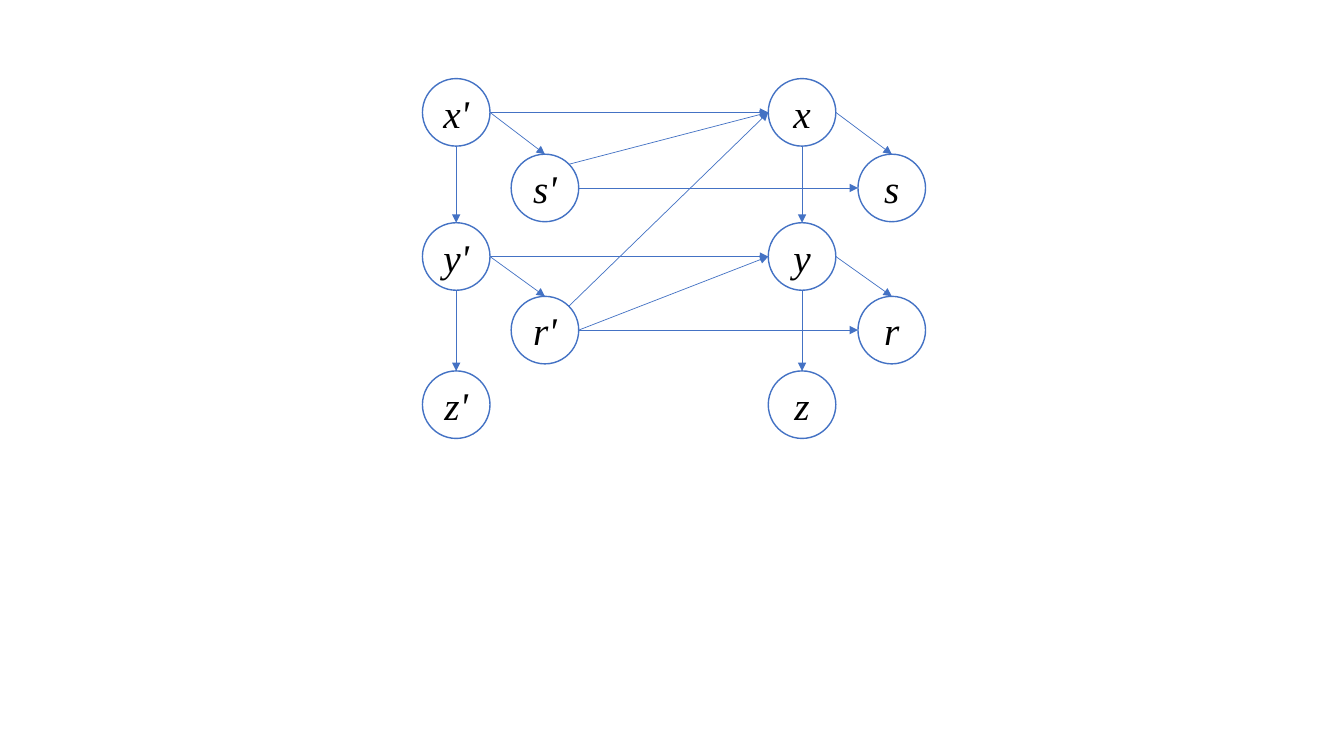
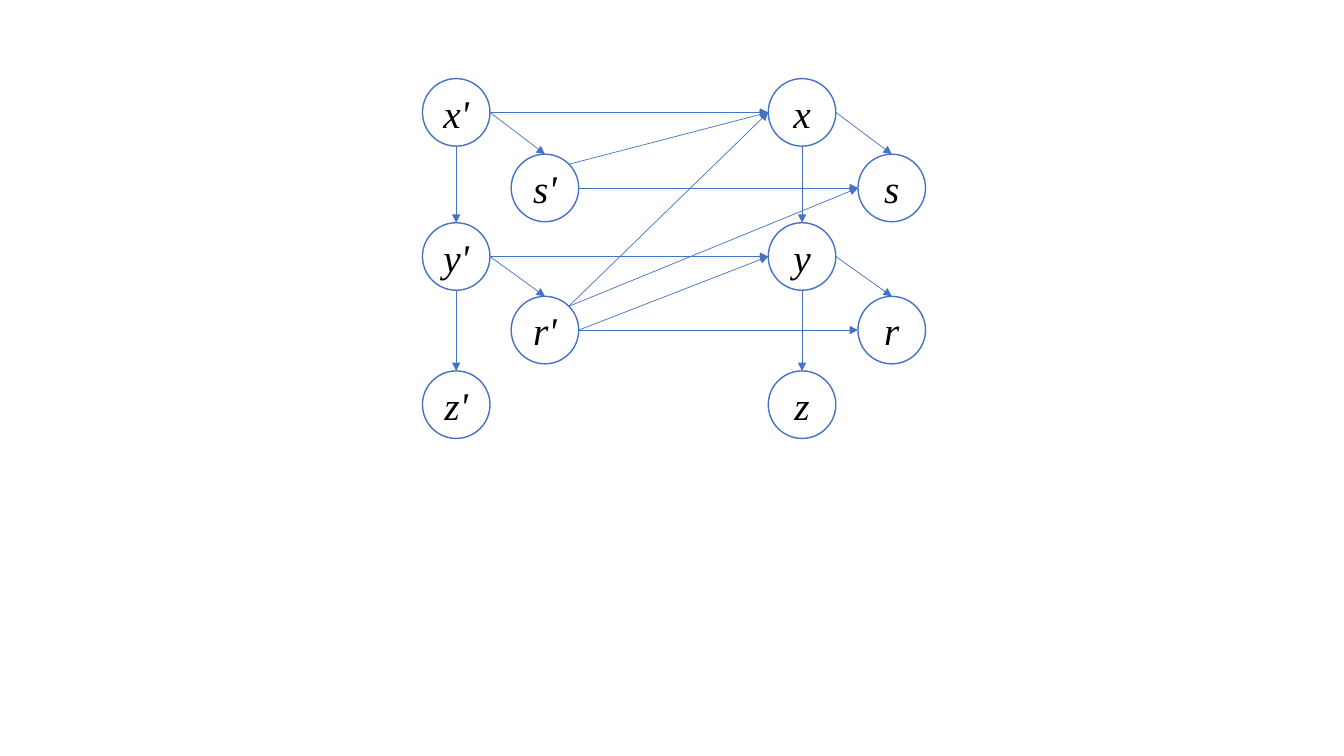
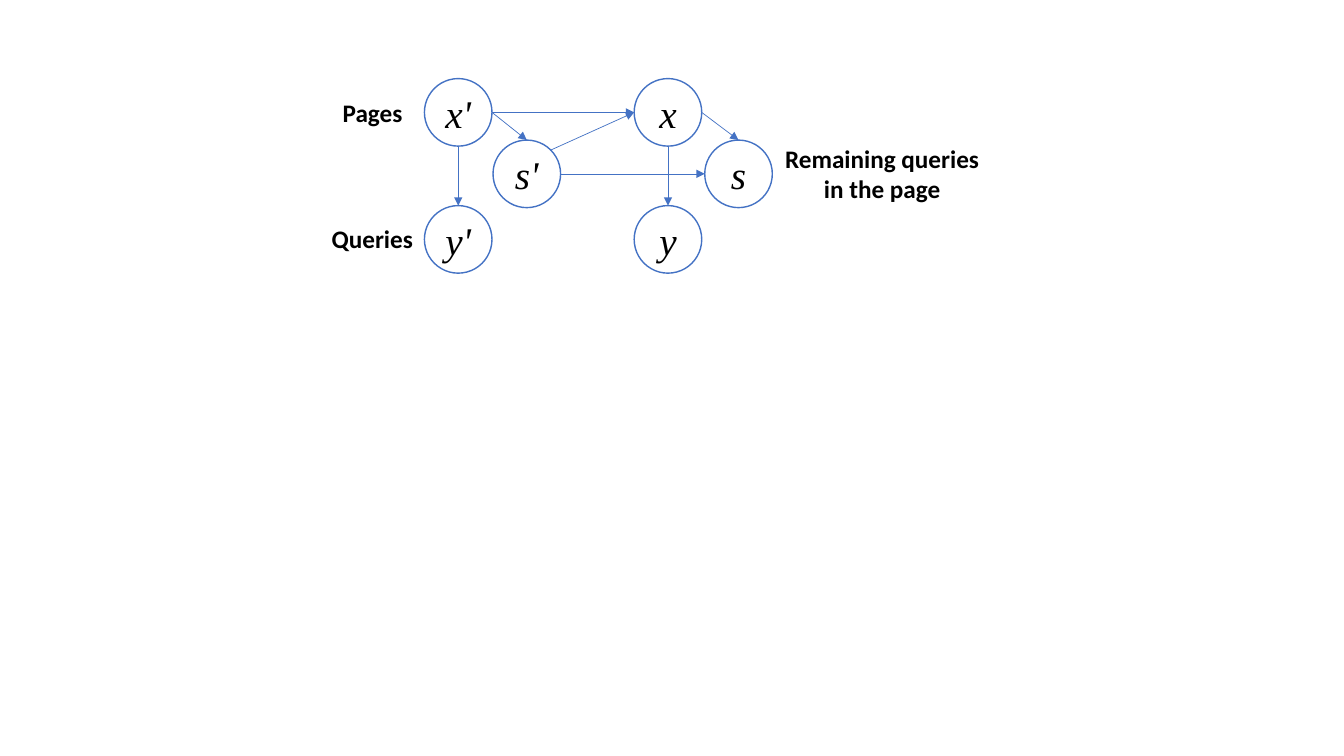
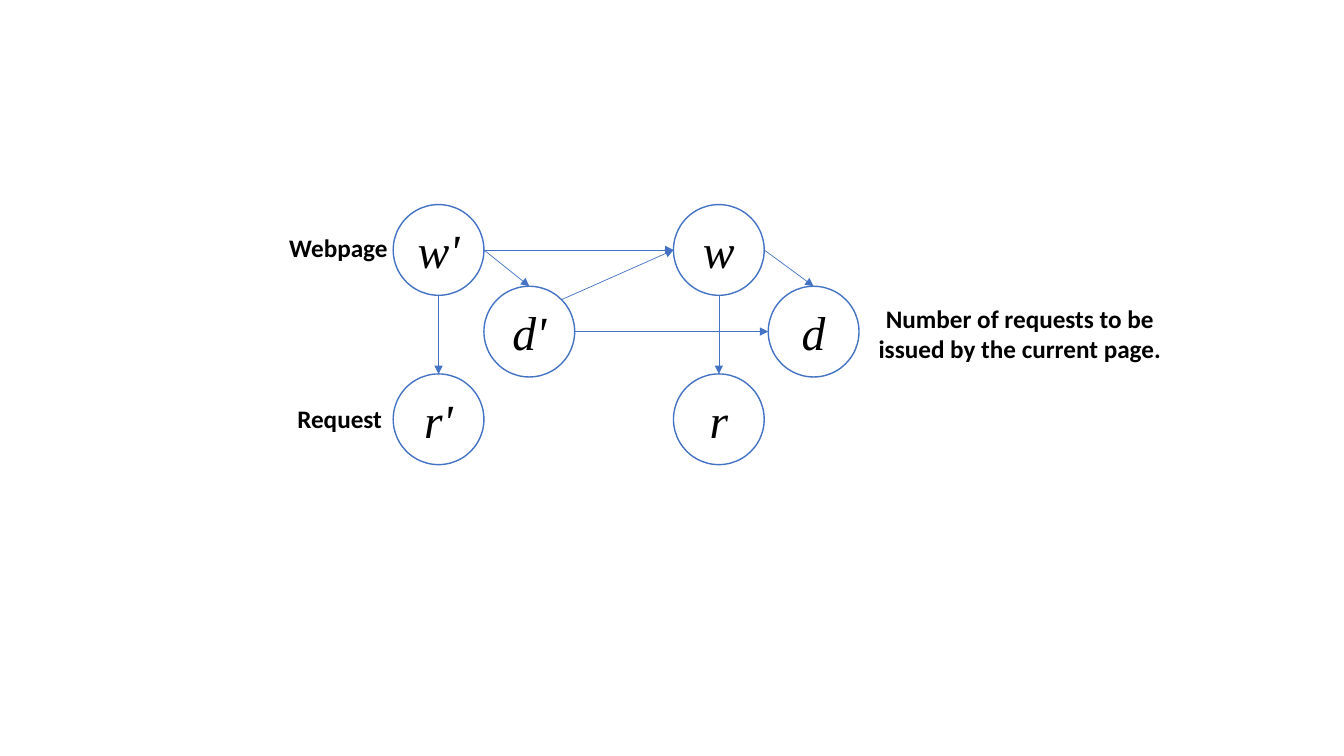
import dataclasses
import enum
import typing

import lxml.etree
import pptx
import pptx.dml.color
import pptx.enum.shapes
import pptx.enum.text
import pptx.oxml.ns
import pptx.slide
import pptx.util

Inches = pptx.util.Inches
qn = pptx.oxml.ns.qn


@dataclasses.dataclass(frozen=True)
class Theme:
    paper: pptx.dml.color.RGBColor = pptx.dml.color.RGBColor(0xFF, 0xFF, 0xFF)
    ink: pptx.dml.color.RGBColor = pptx.dml.color.RGBColor(0x00, 0x00, 0x00)
    accent: pptx.dml.color.RGBColor = pptx.dml.color.RGBColor(0x44, 0x72, 0xC4)
    variable_font: str = "Times New Roman"
    caption_font: str = "Calibri"
    variable_size: int = 28
    large_variable_size: int = 34
    caption_size: int = 18
    outline_width: float = 1
    arrow_width: float = 0.5


THEME = Theme()


class Site(enum.Enum):
    TOP = (0.5, 0)
    LEFT = (0, 0.5)
    BOTTOM = (0.5, 1)
    RIGHT = (1, 0.5)
    UPPER_RIGHT = (0.85, 0.15)


class Variable(typing.NamedTuple):
    name: str
    top: float


class Stage(typing.NamedTuple):
    mark: str
    chain_left: float
    counter_left: float


class Feed(typing.NamedTuple):
    counter: str
    target: str
    exit_site: Site = Site.UPPER_RIGHT


class Caption(typing.NamedTuple):
    lines: tuple[str, ...]
    left: float
    top: float
    width: float
    height: float
    wrap: bool = False
    align: pptx.enum.text.PP_ALIGN = pptx.enum.text.PP_ALIGN.LEFT


@dataclasses.dataclass(frozen=True)
class Network:
    stages: tuple[Stage, Stage]
    chain: tuple[Variable, ...]
    counters: tuple[Variable, ...]
    feeds: tuple[Feed, ...]
    captions: tuple[Caption, ...] = ()
    diameter: float = 0.67
    variable_size: int = THEME.variable_size


def apply_format(target: typing.Any, values: dict[str, typing.Any]) -> None:
    for attribute, value in values.items():
        setattr(target, attribute, value)


def write_line(
    paragraph: typing.Any,
    text: str,
    align: pptx.enum.text.PP_ALIGN,
    font: dict[str, typing.Any],
) -> None:
    paragraph.alignment = align
    run = paragraph.add_run()
    run.text = text
    apply_format(run.font, font)
    run.font.color.rgb = THEME.ink


def draw_variable(
    slide: pptx.slide.Slide, name: str, left: float, top: float, network: Network
) -> None:
    side = Inches(network.diameter)
    circle = slide.shapes.add_shape(
        pptx.enum.shapes.MSO_SHAPE.OVAL, Inches(left), Inches(top), side, side
    )
    circle.shadow.inherit = False
    circle.fill.solid()
    circle.fill.fore_color.rgb = THEME.paper
    circle.line.color.rgb = THEME.accent
    circle.line.width = pptx.util.Pt(THEME.outline_width)
    apply_format(
        circle.text_frame,
        {
            "word_wrap": False,
            "vertical_anchor": pptx.enum.text.MSO_ANCHOR.MIDDLE,
            "margin_left": 0,
            "margin_right": 0,
        },
    )
    write_line(
        circle.text_frame.paragraphs[0],
        name,
        pptx.enum.text.PP_ALIGN.CENTER,
        {
            "name": THEME.variable_font,
            "size": pptx.util.Pt(network.variable_size),
            "italic": True,
        },
    )


def draw_arrow(
    slide: pptx.slide.Slide, start: tuple[float, float], end: tuple[float, float]
) -> None:
    arrow = slide.shapes.add_connector(
        pptx.enum.shapes.MSO_CONNECTOR.STRAIGHT,
        *(Inches(length) for length in (*start, *end)),
    )
    arrow.line.color.rgb = THEME.accent
    arrow.line.width = pptx.util.Pt(THEME.arrow_width)
    properties = arrow.element.spPr
    lxml.etree.SubElement(properties.find(qn("a:ln")), qn("a:tailEnd"), type="triangle")
    lxml.etree.SubElement(properties, qn("a:effectLst"))


def draw_caption(slide: pptx.slide.Slide, caption: Caption) -> None:
    box = slide.shapes.add_textbox(
        Inches(caption.left),
        Inches(caption.top),
        Inches(caption.width),
        Inches(caption.height),
    )
    frame = box.text_frame
    apply_format(
        frame,
        {
            "word_wrap": caption.wrap,
            "auto_size": pptx.enum.text.MSO_AUTO_SIZE.SHAPE_TO_FIT_TEXT,
        },
    )
    for index, line in enumerate(caption.lines):
        write_line(
            frame.add_paragraph() if index else frame.paragraphs[0],
            line,
            caption.align,
            {
                "name": THEME.caption_font,
                "size": pptx.util.Pt(THEME.caption_size),
                "bold": True,
            },
        )


def draw_network(slide: pptx.slide.Slide, network: Network) -> None:
    corners: dict[str, tuple[float, float]] = {}
    for stage in network.stages:
        for left, variables in (
            (stage.chain_left, network.chain),
            (stage.counter_left, network.counters),
        ):
            for variable in variables:
                corners[variable.name + stage.mark] = (left, variable.top)
    for name, (left, top) in corners.items():
        draw_variable(slide, name, left, top, network)

    def link(source: str, exit_site: Site, target: str, entry_site: Site) -> None:
        start, end = (
            tuple(
                corner + share * network.diameter
                for corner, share in zip(corners[name], site.value)
            )
            for name, site in ((source, exit_site), (target, entry_site))
        )
        draw_arrow(slide, start, end)

    for stage in network.stages:
        for upper, lower in zip(network.chain, network.chain[1:]):
            link(upper.name + stage.mark, Site.BOTTOM, lower.name + stage.mark, Site.TOP)
        for parent, counter in zip(network.chain, network.counters):
            link(parent.name + stage.mark, Site.RIGHT, counter.name + stage.mark, Site.TOP)

    past, present = (stage.mark for stage in network.stages)
    for pair in zip(network.chain, network.counters):
        for variable in pair:
            link(variable.name + past, Site.RIGHT, variable.name + present, Site.LEFT)
    for feed in network.feeds:
        link(feed.counter + past, feed.exit_site, feed.target + present, Site.LEFT)

    for caption in network.captions:
        draw_caption(slide, caption)


CENTER = pptx.enum.text.PP_ALIGN.CENTER

three_levels = Network(
    stages=(Stage("'", 4.19, 5.07), Stage("", 7.62, 8.51)),
    chain=(Variable("x", 0.78), Variable("y", 2.21), Variable("z", 3.68)),
    counters=(Variable("s", 1.53), Variable("r", 2.94)),
    feeds=(Feed("s", "x"), Feed("r", "y", Site.RIGHT), Feed("r", "x")),
)
three_levels_linked = dataclasses.replace(
    three_levels, feeds=(*three_levels.feeds, Feed("r", "s"))
)
pages_and_queries = Network(
    stages=(Stage("'", 4.21, 4.89), Stage("", 6.29, 6.99)),
    chain=(Variable("x", 0.78), Variable("y", 2.04)),
    counters=(Variable("s", 1.39),),
    feeds=(Feed("s", "x"),),
    captions=(
        Caption(("Pages",), 3.3, 0.92, 0.8, 0.4),
        Caption(("Queries",), 3.19, 2.17, 1.01, 0.4),
        Caption(
            ("Remaining queries", "in the page"), 7.65, 1.37, 2.2, 0.71, align=CENTER
        ),
    ),
)
webpages_and_requests = Network(
    stages=(Stage("'", 3.9, 4.8), Stage("", 6.68, 7.62)),
    chain=(Variable("w", 2.03), Variable("r", 3.71)),
    counters=(Variable("d", 2.84),),
    feeds=(Feed("d", "w"),),
    captions=(
        Caption(("Webpage",), 2.77, 2.26, 1.24, 0.71, wrap=True),
        Caption(("Request",), 2.85, 3.95, 1.08, 0.71, wrap=True),
        Caption(
            ("Number of requests to be", "issued by the current page."),
            8.47, 2.96, 3.29, 0.71, wrap=True, align=CENTER,
        ),
    ),
    diameter=0.9,
    variable_size=THEME.large_variable_size,
)


def main() -> None:
    deck = pptx.Presentation()
    apply_format(deck, {"slide_width": Inches(13.33), "slide_height": Inches(7.5)})
    blank = deck.slide_layouts[6]
    for network in (
        three_levels,
        three_levels_linked,
        pages_and_queries,
        webpages_and_requests,
    ):
        draw_network(deck.slides.add_slide(blank), network)
    deck.save("out.pptx")


main()
